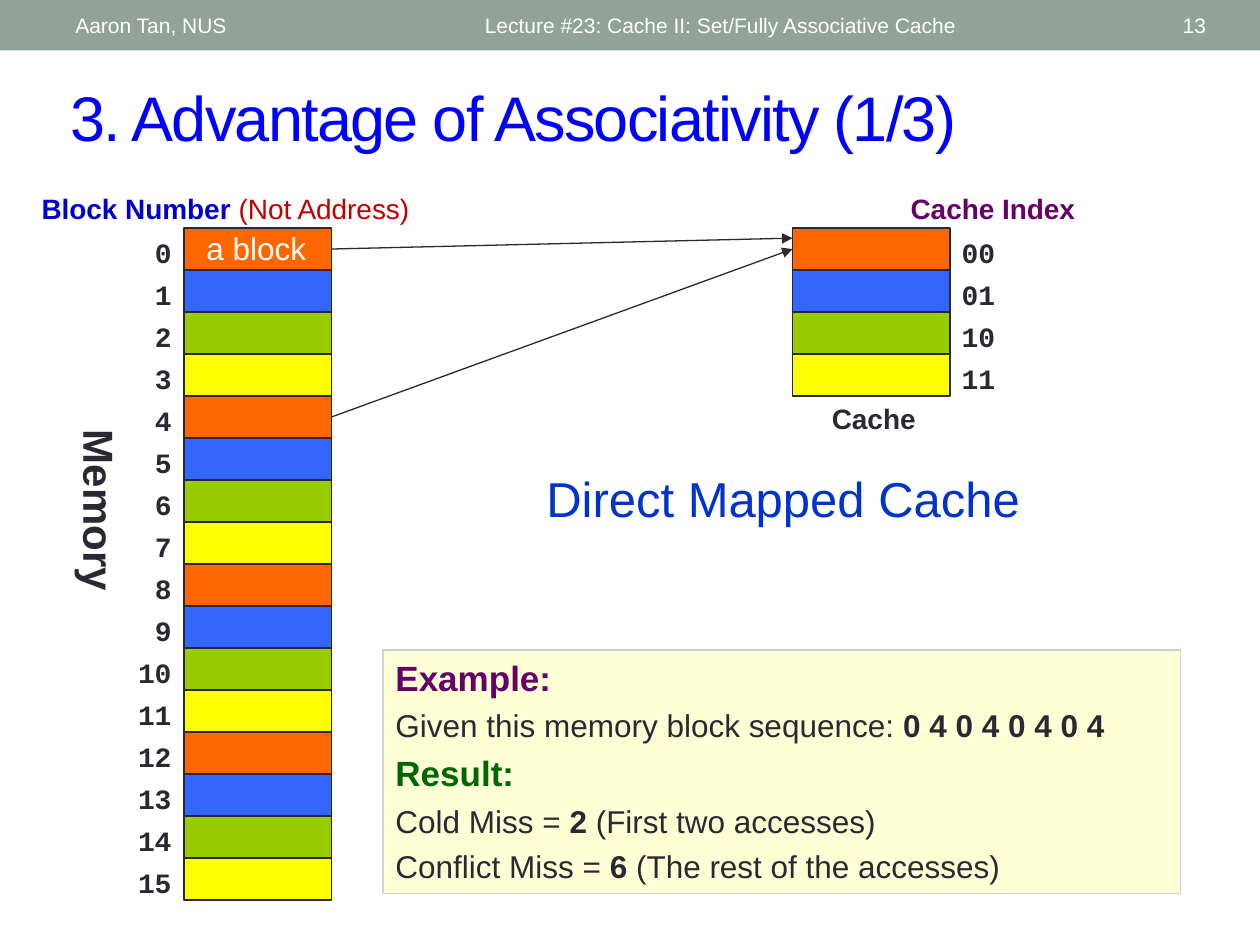
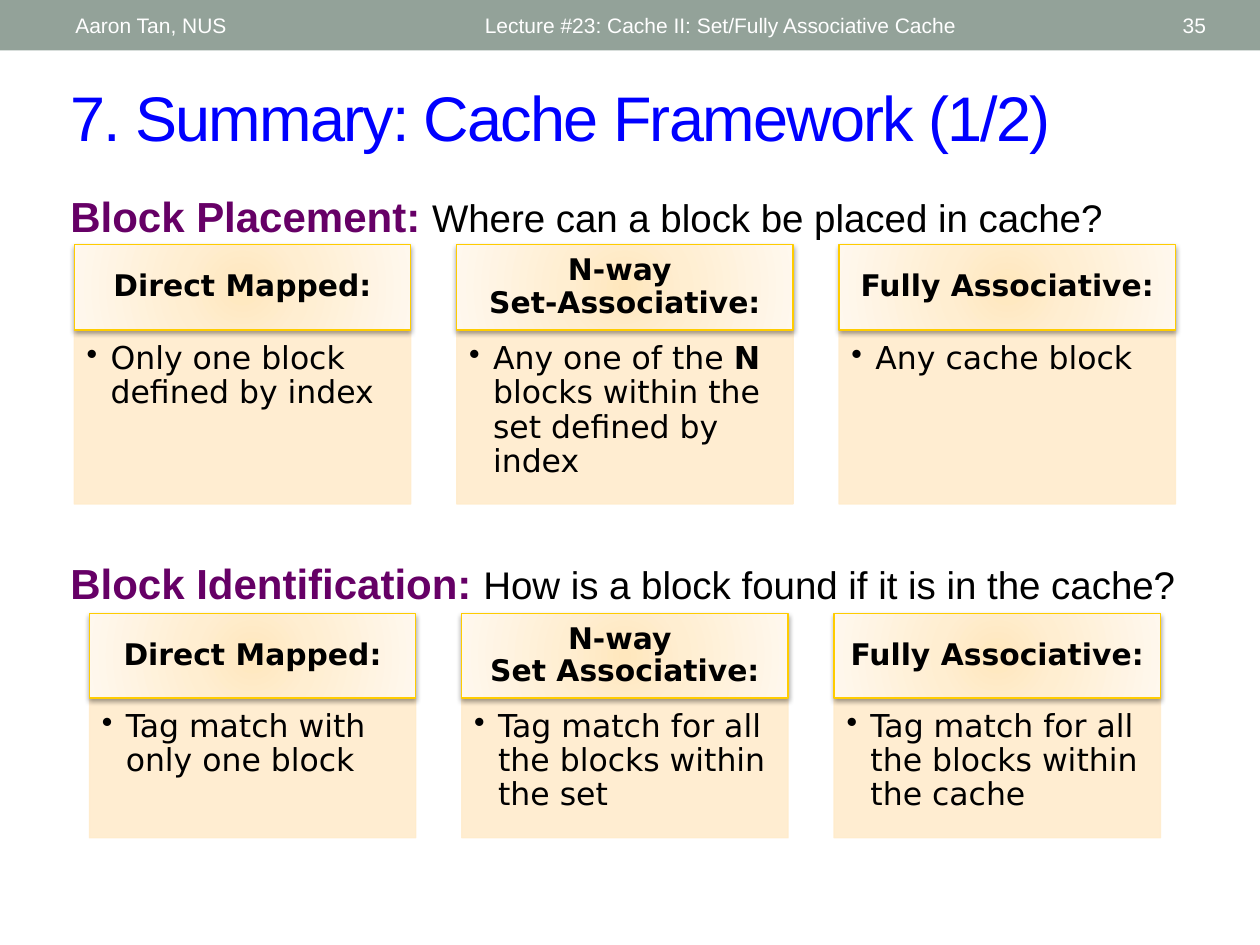
"""Build two lecture slides on cache associativity and the cache framework."""
from dataclasses import dataclass
from typing import Optional

from lxml.etree import SubElement
from pptx import Presentation
from pptx.dml.color import RGBColor
from pptx.enum.shapes import MSO_CONNECTOR as Connector, MSO_SHAPE as Preset
from pptx.enum.text import MSO_ANCHOR as Anchor, PP_ALIGN as Align
from pptx.oxml.ns import qn
from pptx.util import Inches, Pt

COLORS = {
    "band": "93A299", "title": "0000FF", "white": "FFFFFF", "black": "000000",
    "ink": "292934", "purple": "660066", "green": "006600", "navy": "0000CC",
    "red": "C00000", "mapped": "0033CC", "note": "FFFFCC", "note_edge": "CCD1D9",
    "card": "FFECCC", "card_edge": "FFCC00",
    "glow_center": "FFE7BD", "glow_middle": "FFEED1", "glow_edge": "FFF8EE",
    "block_orange": "FF6600", "block_blue": "3366FF",
    "block_green": "99CC00", "block_yellow": "FFFF00",
}
BLOCK_COLORS = ["block_orange", "block_blue", "block_green", "block_yellow"]
GLOW = [(0, "glow_center"), (35, "glow_middle"), (100, "glow_edge")]
BLOCK_TOP, BLOCK_HEIGHT = 1.81, 1 / 3
SANS, MONO, CARD_FONT = "Arial", "Courier New", "DejaVu Sans"


@dataclass(frozen=True)
class Span:
    """A stretch of text in one format."""
    text: str
    size: float = 16
    color: str = "ink"
    bold: bool = False
    font: str = SANS
    tracking: float = 0


@dataclass(frozen=True)
class Box:
    """A place on the slide in inches."""
    left: float
    top: float
    width: float
    height: float

    def lengths(self) -> list:
        """Return the four lengths for python-pptx."""
        return [Inches(value) for value in (self.left, self.top, self.width, self.height)]


@dataclass(frozen=True)
class Card:
    """A heading and its bullet point."""
    heading: str
    point: list


@dataclass(frozen=True)
class Section:
    """A question with a row of cards below it."""
    name: str
    question: str
    top: float
    cards_top: float
    first_left: float
    last_left: float
    width: float
    heading_height: float
    point_height: float
    cards: list


def rgb(name: str) -> RGBColor:
    """Look up a colour by name."""
    return RGBColor.from_string(COLORS[name])


def format_run(run, span: Span) -> None:
    """Give a run the format of its span."""
    run.font.size = Pt(span.size)
    run.font.name = span.font
    run.font.bold = span.bold
    run.font.color.rgb = rgb(span.color)
    if span.tracking:
        run.font._element.set("spc", str(int(span.tracking * 100)))


def write(shape, paragraphs: list, align=Align.LEFT, anchor=Anchor.TOP, wrap: bool = True,
          spacing: Optional[float] = None, before: float = 0,
          insets: tuple = (0.1, 0.05, 0.1, 0.05)) -> None:
    """Fill a shape with paragraphs, each a list of spans."""
    frame = shape.text_frame
    frame.word_wrap, frame.vertical_anchor = wrap, anchor
    (frame.margin_left, frame.margin_top,
     frame.margin_right, frame.margin_bottom) = [Inches(inset) for inset in insets]
    for index, spans in enumerate(paragraphs):
        paragraph = frame.add_paragraph() if index else frame.paragraphs[0]
        paragraph.alignment, paragraph.space_before = align, Pt(before)
        if spacing:
            paragraph.line_spacing = spacing
        paragraph.text = spans[0].text
        for run in paragraph.runs:
            format_run(run, spans[0])
        for span in spans[1:]:
            run = paragraph.add_run()
            run.text = span.text
            format_run(run, span)


def add_text(slide, box: Box, *spans: Span, **layout) -> None:
    """Add a text box with one paragraph."""
    write(slide.shapes.add_textbox(*box.lengths()), [list(spans)], **layout)


def set_alpha(fill_parent, percent: int) -> None:
    """Make the solid fill inside an element partly transparent."""
    color = fill_parent.find(qn("a:solidFill")).find(qn("a:srgbClr"))
    SubElement(color, qn("a:alpha"), val=str(percent * 1000))


def add_rectangle(slide, box: Box, fill: str, line: Optional[str] = None, alpha: int = 100):
    """Add a flat rectangle."""
    shape = slide.shapes.add_shape(Preset.RECTANGLE, *box.lengths())
    shape.shadow.inherit = False
    shape.fill.solid()
    shape.fill.fore_color.rgb = rgb(fill)
    if line:
        shape.line.color.rgb = rgb(line)
        shape.line.width = Pt(0.75)
    else:
        shape.line.fill.background()
    if alpha < 100:
        set_alpha(shape._element.spPr, alpha)
    return shape


def add_glow(shape) -> None:
    """Give a shape a round gradient and a soft shadow."""
    properties = shape._element.spPr
    solid = properties.find(qn("a:solidFill"))
    gradient = SubElement(properties, qn("a:gradFill"), rotWithShape="1")
    properties.replace(solid, gradient)
    stops = SubElement(gradient, qn("a:gsLst"))
    for position, name in GLOW:
        stop = SubElement(stops, qn("a:gs"), pos=str(position * 1000))
        SubElement(stop, qn("a:srgbClr"), val=COLORS[name])
    circle = SubElement(gradient, qn("a:path"), path="circle")
    SubElement(circle, qn("a:fillToRect"), l="50000", t="50000", r="50000", b="50000")
    shadow = SubElement(properties.find(qn("a:effectLst")), qn("a:outerShdw"),
                        blurRad=str(Pt(3.1)), dist=str(Pt(1.6)), dir="5400000",
                        rotWithShape="0")
    color = SubElement(shadow, qn("a:srgbClr"), val=COLORS["black"])
    SubElement(color, qn("a:alpha"), val="38000")


def add_arrow(slide, source, end_x: float, end_y: float, target=None) -> None:
    """Draw an arrow from the right side of a block."""
    arrow = slide.shapes.add_connector(Connector.STRAIGHT, 0, 0, Inches(end_x), Inches(end_y))
    arrow.begin_connect(source, 3)
    if target is not None:
        arrow.end_connect(target, 1)
    arrow.line.color.rgb = rgb("ink")
    arrow.line.width = Pt(0.75)
    properties = arrow._element.spPr
    SubElement(properties.find(qn("a:ln")), qn("a:tailEnd"), type="triangle")
    SubElement(properties, qn("a:effectLst"))


def add_frame(presentation, title: str, number: int):
    """Add a slide with its band, header texts and title."""
    slide = presentation.slides.add_slide(presentation.slide_layouts[6])
    add_rectangle(slide, Box(0, 0, 10, 0.4), "band")
    for text, left, width, align in (
            ("Aaron Tan, NUS", 0.5, 3.17, Align.LEFT),
            ("Lecture #23: Cache II: Set/Fully Associative Cache", 3.75, 4.5, Align.LEFT),
            (str(number), 8.72, 0.95, Align.RIGHT)):
        add_text(slide, Box(left, 0.02, width, 0.36), Span(text, 12, "white"),
                 align=align, anchor=Anchor.MIDDLE)
    add_text(slide, Box(0.46, 0.57, 9.21, 0.7), Span(title, 36, "title", tracking=-1),
             anchor=Anchor.MIDDLE)
    return slide


def add_blocks(slide, left: float, width: float, label_left: float, label_width: float,
               labels: list, align) -> list:
    """Stack coloured blocks with a label beside each and return them."""
    blocks = []
    for index, label in enumerate(labels):
        top = BLOCK_TOP + index * BLOCK_HEIGHT
        color = BLOCK_COLORS[index % len(BLOCK_COLORS)]
        blocks.append(add_rectangle(slide, Box(left, top, width, BLOCK_HEIGHT), color, "ink"))
        add_text(slide, Box(label_left, top + 0.01, label_width, 0.37),
                 Span(label, bold=True, font=MONO), align=align, wrap=False)
    return blocks


def build_direct_mapped(presentation) -> None:
    """Build the slide on the direct mapped cache."""
    slide = add_frame(presentation, "3. Advantage of Associativity (1/3)", 13)
    memory = add_blocks(slide, 1.46, 1.17, 0.88, 0.58,
                        [str(number) for number in range(16)], Align.RIGHT)
    cache = add_blocks(slide, 6.29, 1.25, 7.53, 0.47,
                       [f"{index:02b}" for index in range(4)], Align.CENTER)
    add_arrow(slide, memory[0], 6.29, 1.89)
    add_arrow(slide, memory[4], 6.29, 1.97, cache[0])

    centered = {"align": Align.CENTER, "wrap": False}
    add_text(slide, Box(0.21, 1.47, 3.22, 0.37), Span("Block Number ", color="navy", bold=True),
             Span("(Not Address) ", color="red"), **centered)
    add_text(slide, Box(7.12, 1.47, 1.52, 0.37),
             Span("Cache Index", color="purple", bold=True), **centered)
    add_text(slide, Box(6.5, 3.14, 0.87, 0.37), Span("Cache", bold=True), **centered)
    add_text(slide, Box(4.13, 3.67, 4.17, 0.57), Span("Direct Mapped Cache", 28, "mapped"),
             align=Align.CENTER)
    add_text(slide, Box(1.54, 1.77, 1, 0.4), Span("a block", 18, "white"))
    memory_name = add_rectangle(slide, Box(0.05, 3.8, 1.49, 0.5), "white", alpha=70)
    memory_name.rotation = 90
    write(memory_name, [[Span("Memory", 24, bold=True)]], **centered)

    example = add_rectangle(slide, Box(3.04, 5.16, 6.33, 1.93), "note", "note_edge", 80)
    write(example, [
        [Span("Example:", 20, "purple", True)],
        [Span("Given this memory block sequence: ", 18), Span("0 4 0 4 0 4 0 4", 18, bold=True)],
        [Span("Result:", 20, "green", True)],
        [Span("Cold Miss = ", 18), Span("2", 18, bold=True), Span(" (First two accesses)", 18)],
        [Span("Conflict Miss = ", 18), Span("6", 18, bold=True),
         Span(" (The rest of the accesses)", 18)],
    ], before=4.5)


def card_span(text: str, bold: bool = False, size: float = 18) -> Span:
    """Return a span in the card font."""
    return Span(text, size, "black", bold, CARD_FONT)


def add_card(slide, card: Card, left: float, section: Section) -> None:
    """Draw a heading box above a bullet box."""
    point_box = Box(left, section.cards_top + section.heading_height,
                    section.width, section.point_height)
    point = add_rectangle(slide, point_box, "card", "card", 90)
    set_alpha(point._element.spPr.find(qn("a:ln")), 90)
    write(point, [card.point], spacing=0.9, insets=(0.1, 0.1, 0.14, 0.16))
    properties = point.text_frame.paragraphs[0]._p.get_or_add_pPr()
    properties.set("marL", str(Inches(0.19)))
    properties.set("indent", str(-Inches(0.19)))
    SubElement(properties, qn("a:buChar"), char="•")

    heading_box = Box(left, section.cards_top, section.width, section.heading_height)
    heading = add_rectangle(slide, heading_box, "card", "card_edge")
    add_glow(heading)
    write(heading, [[card_span(card.heading, True, 17)]], align=Align.CENTER,
          anchor=Anchor.MIDDLE, spacing=0.9, insets=(0.13, 0.08, 0.13, 0.08))


def build_summary(presentation) -> None:
    """Build the slide that sums up the cache framework."""
    slide = add_frame(presentation, "7. Summary: Cache Framework (1/2)", 35)
    sections = [
        Section("Block Placement: ", "Where can a block be placed in cache?",
                1.51, 1.94, 0.59, 6.66, 2.67, 0.68, 1.38, [
                    Card("Direct Mapped:", [card_span("Only one block defined by index")]),
                    Card("N-way \nSet-Associative:", [
                        card_span("Any one of the "), card_span("N", True),
                        card_span(" blocks within the set defined by index")]),
                    Card("Fully Associative:", [card_span("Any cache block")])]),
        Section("Block Identification: ", "How is a block found if it is in the cache?",
                4.42, 4.87, 0.71, 6.62, 2.59, 0.67, 1.11, [
                    Card("Direct Mapped:", [card_span("Tag match with only one block")]),
                    Card("N-way \nSet Associative:",
                         [card_span("Tag match for all the blocks within the set")]),
                    Card("Fully Associative:",
                         [card_span("Tag match for all the blocks within the cache")])]),
    ]
    for section in sections:
        add_text(slide, Box(0.46, section.top, 9, 0.48), Span(section.name, 24, "purple", True),
                 Span(section.question, 22, "black"), spacing=0.9)
        step = (section.last_left - section.first_left) / (len(section.cards) - 1)
        for index, card in enumerate(section.cards):
            add_card(slide, card, section.first_left + index * step, section)


def main() -> None:
    """Build and save the presentation."""
    presentation = Presentation()
    presentation.slide_width, presentation.slide_height = Inches(10), Inches(7.5)
    build_direct_mapped(presentation)
    build_summary(presentation)
    presentation.save("out.pptx")


if __name__ == "__main__":
    main()
